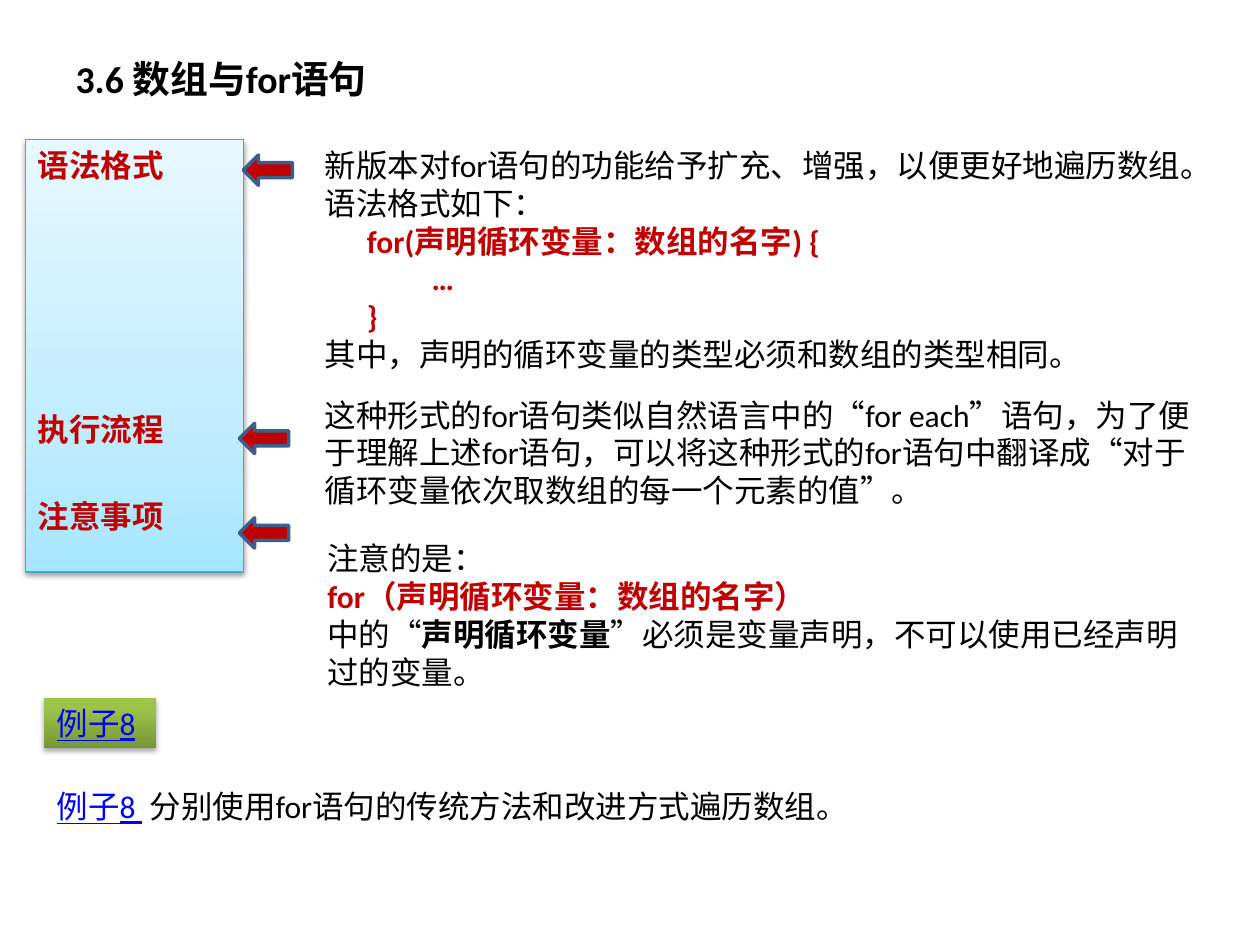
from copy import deepcopy
from lxml import etree
from pptx import Presentation
from pptx.dml.color import RGBColor
from pptx.enum import shapes, text
from pptx.oxml.ns import qn
from pptx.util import Pt

RED, BLUE, BLACK = "C00000", "0000FF", "000000"
TITLE = "3.6 数组与for语句"
STEPS = [("语法格式", 0), ("执行流程", 129.2), ("注意事项", 28.2)]
ARROWS = [(139, 88.6), (136.8, 241.9), (136.8, 295.9)]
KEY = {"color": RED, "bold": True}
LINK = {"color": BLUE, "under": True}
NOTES = [
    ((178.6, 79.9, 528.5, 138.2), [
        ([("新版本对for语句的功能给予扩充、增强，以便更好地遍历数组。语法格式如下：", {})], 0),
        ([("for(声明循环变量：数组的名字) {", KEY)], 24),
        ([("…", KEY)], 61),
        ([("}", KEY)], 24),
        ([("其中，声明的循环变量的类型必须和数组的类型相同。", {})], 0),
    ]),
    ((178.6, 222.5, 509, 72.7), [
        ([("这种形式的for语句类似自然语言中的“for each”语句，为了便于理解上述for语句，"
           "可以将这种形式的for语句中翻译成“对于循环变量依次取数组的每一个元素的值”。", {})], 0),
    ]),
    ((180, 304.6, 507.6, 94.3), [
        ([("注意的是：", {})], 0),
        ([("for（声明循环变量：数组的名字）", KEY)], 0),
        ([("中的“", {}), ("声明循环变量", {"bold": True}),
          ("”必须是变量声明，不可以使用已经声明过的变量。", {})], 0),
    ]),
    ((25.2, 446.4, 550.8, 28.8), [
        ([("例子8 ", LINK), (" 分别使用for语句的传统方法和改进方式遍历数组。", {})], 0),
    ]),
]
SKY = [(0, "A7E6FF"), (0.35, "C1EDFF"), (1, "E7F8FF")]
LEAF = [(0, "779737"), (0.8, "9BC348"), (1, "9DC746")]


def rgb(code):
    return RGBColor.from_string(code)


def place(shape, box):
    shape.left, shape.top, shape.width, shape.height = map(Pt, box)


def write(para, words, size=18, color=BLACK, bold=False, under=False):
    run = para.add_run()
    run.text = words
    font = run.font
    font.name, font.size, font.bold, font.underline = "Calibri", Pt(size), bold, under
    font.color.rgb = rgb(color)


def indent(para, left):
    props = para._p.get_or_add_pPr()
    props.set("marL", str(Pt(left)))
    props.set("indent", "0")
    return props


def lines(frame):
    yield frame.paragraphs[0]
    while True:
        yield frame.add_paragraph()


def shade(shape, stops):
    shape.fill.gradient()
    shape.fill.gradient_angle = 90
    group = shape._element.find(".//" + qn("a:gsLst"))
    group.append(deepcopy(group[-1]))
    for stop, (pos, code) in zip(shape.fill.gradient_stops, stops):
        stop.position, stop.color.rgb = pos, rgb(code)


def drop(shape, alpha, dist):
    shape.shadow.inherit = False
    effect = shape._element.find(".//" + qn("a:effectLst"))
    outer = etree.SubElement(effect, qn("a:outerShdw"), blurRad=str(Pt(3.1)),
                             dist=str(Pt(dist)), dir="5400000", rotWithShape="0")
    tone = etree.SubElement(outer, qn("a:srgbClr"), val=BLACK)
    etree.SubElement(tone, qn("a:alpha"), val=str(alpha * 1000))


deck = Presentation()
deck.slide_width, deck.slide_height = Pt(720), Pt(540)
slide = deck.slides.add_slide(deck.slide_layouts[1])

head = slide.shapes.title
place(head, (36, 21.6, 233.3, 91.4))
frame = head.text_frame
frame.auto_size = text.MSO_AUTO_SIZE.NONE
frame.vertical_anchor = text.MSO_ANCHOR.TOP
frame.margin_top = Pt(10.5)
frame.paragraphs[0].alignment = text.PP_ALIGN.LEFT
write(frame.paragraphs[0], TITLE, size=21.6, bold=True)

panel = slide.placeholders[1]
place(panel, (14.4, 79.9, 124.6, 247))
shade(panel, SKY)
panel.line.color.rgb = rgb("46AAC5")
panel.line.width = Pt(0.75)
drop(panel, 38, 1.6)
panel.text_frame.auto_size = text.MSO_AUTO_SIZE.NONE
for (words, gap), para in zip(STEPS, lines(panel.text_frame)):
    para.space_before = Pt(gap)
    etree.SubElement(indent(para, 0), qn("a:buNone"))
    write(para, words, **KEY)

for left, top in ARROWS:
    arrow = slide.shapes.add_shape(shapes.MSO_SHAPE.LEFT_ARROW,
                                   Pt(left), Pt(top), Pt(28.1), Pt(17.3))
    arrow.shadow.inherit = False
    arrow.fill.solid()
    arrow.fill.fore_color.rgb = rgb(RED)
    arrow.line.color.rgb = rgb("3A5F8C")
    arrow.line.width = Pt(2)

for box, paras in NOTES:
    frame = slide.shapes.add_textbox(*map(Pt, box)).text_frame
    frame.word_wrap = True
    for (runs, left), para in zip(paras, lines(frame)):
        indent(para, left)
        for words, style in runs:
            write(para, words, **style)

badge = slide.shapes.add_shape(shapes.MSO_SHAPE.RECTANGLE,
                               Pt(25.2), Pt(398.9), Pt(64.1), Pt(28.8))
shade(badge, LEAF)
badge.line.fill.background()
drop(badge, 35, 1.8)
badge.text_frame.word_wrap = False
para = badge.text_frame.paragraphs[0]
para.alignment = text.PP_ALIGN.LEFT
write(para, "例子8", **LINK)

deck.save("out.pptx")
